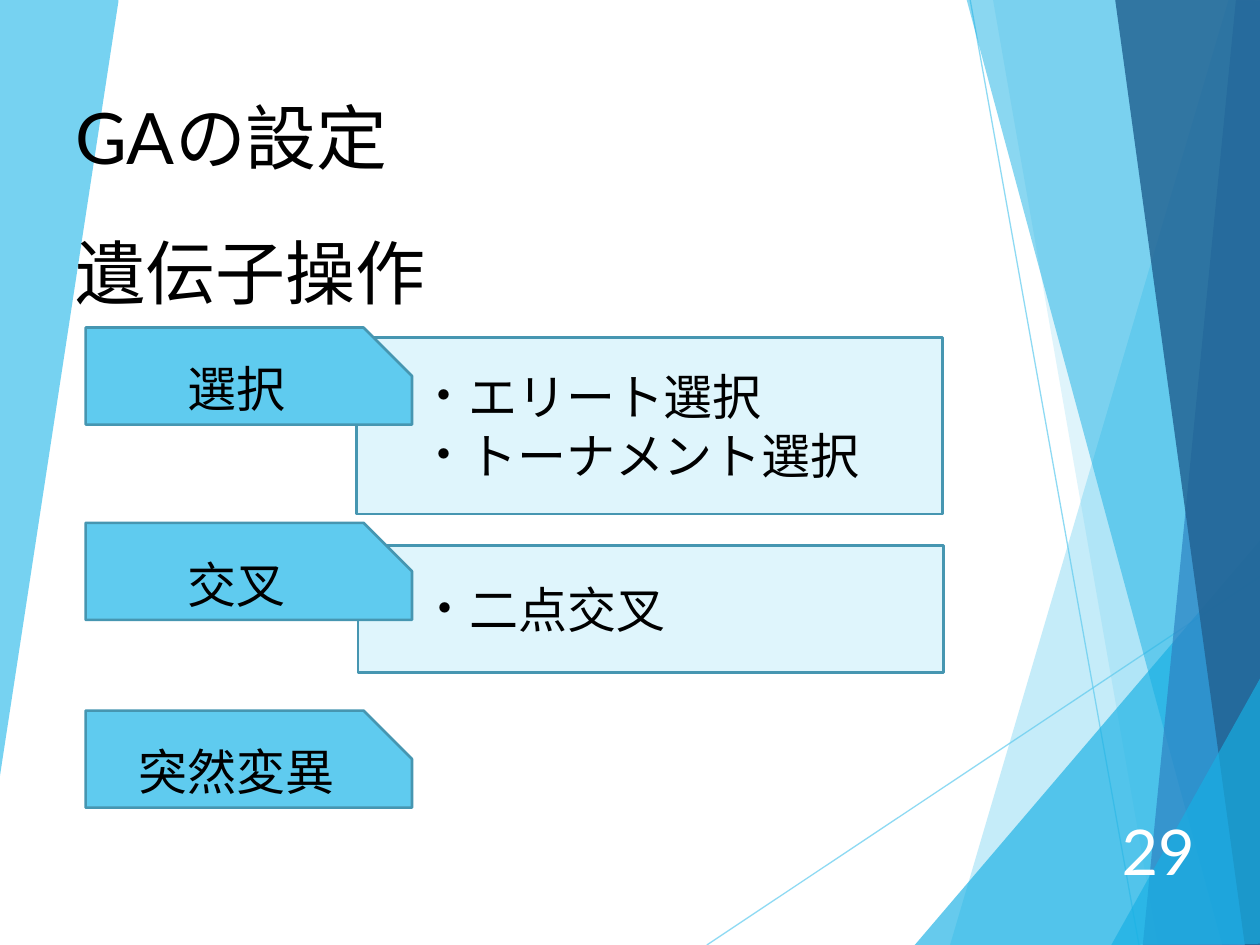
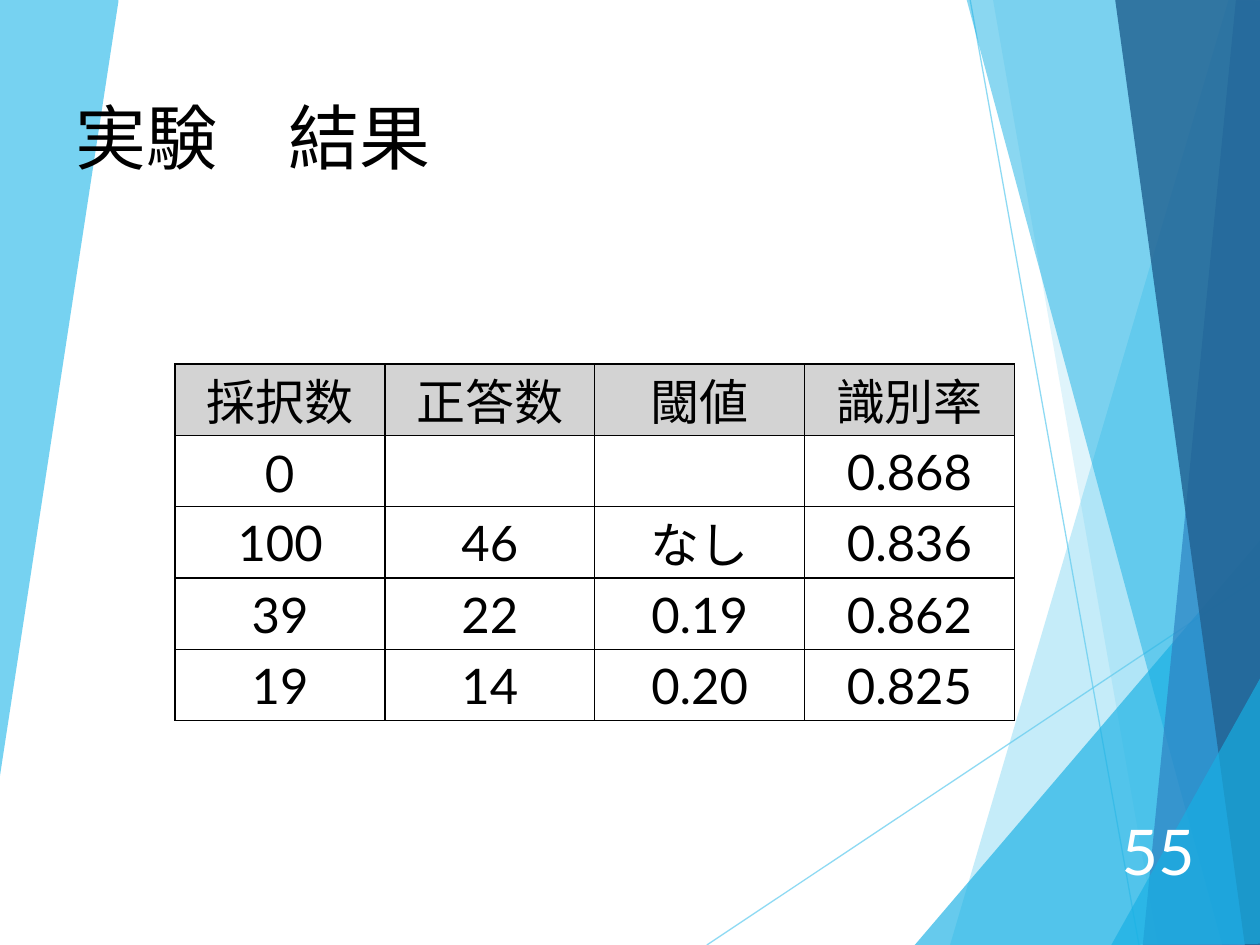
import pptx
import pptx.util
import pptx.dml.color
import pptx.enum.shapes
import pptx.enum.text
import pptx.oxml
import pptx.oxml.ns
from lxml import etree

Inches = pptx.util.Inches
Pt = pptx.util.Pt
RGBColor = pptx.dml.color.RGBColor
KIND = pptx.enum.shapes.MSO_SHAPE
LINK = pptx.enum.shapes.MSO_CONNECTOR
ALIGN = pptx.enum.text.PP_ALIGN
ANCHOR = pptx.enum.text.MSO_ANCHOR
qn = pptx.oxml.ns.qn

# Colours
BLACK = RGBColor(0x00, 0x00, 0x00)
WHITE = RGBColor(0xFF, 0xFF, 0xFF)
SKY = RGBColor(0x5F, 0xCB, 0xEF)
CYAN = RGBColor(0x17, 0xB0, 0xE4)
BLUE = RGBColor(0x2E, 0x83, 0xC3)
NAVY = RGBColor(0x22, 0x62, 0x92)
PALE = RGBColor(0xDF, 0xF5, 0xFC)
EDGE = RGBColor(0x46, 0x96, 0xB1)
GREY = RGBColor(0xD3, 0xD3, 0xD3)

# Shared background: lines, then bands as colour, opacity and corners
RAYS = [(5.61, 7.5, 10.01, 4.57), (7.7, 0, 9.04, 7.5)]
BANDS = [
    (SKY, 36, [(9.75, 0), (7.54, 7.5), (10.02, 7.51), (10.01, 0.01)]),
    (SKY, 20, [(7.88, -0.01), (9.19, 7.5), (10.01, 7.5), (10.01, -0.01)]),
    (CYAN, 66, [(7.26, 7.5), (10, 4.29), (10.01, 7.5)]),
    (CYAN, 50, [(7.67, -0.01), (9.7, 7.5), (10.01, 7.49), (10.01, -0.01)]),
    (BLUE, 70, [(9.81, -0.01), (9.07, 7.5), (10.01, 7.5), (10, -0.01)]),
    (NAVY, 82, [(8.85, -0.01), (9.88, 7.5), (10.02, 7.5), (10, -0.01)]),
    (CYAN, 66, [(8.82, 7.5), (10.02, 5.35), (10.02, 7.49)]),
    (SKY, 85, [(-0.01, 0), (0.94, -0.01), (0.94, 0.01), (-0.01, 6.22)]),
]


def write(frame, text, size=28, color=BLACK, font="Lato", align=ALIGN.LEFT,
          anchor=ANCHOR.TOP, mark=None, pitch=None):
    """Fill a text frame, one paragraph for each line of text."""
    frame.word_wrap = True
    frame.vertical_anchor = anchor
    for i, line in enumerate(text.split("\n")):
        para = frame.paragraphs[0] if i == 0 else frame.add_paragraph()
        para.alignment = align
        if pitch:
            para.line_spacing = Pt(pitch)
        if mark:
            props = para._p.get_or_add_pPr()
            props.set("marL", str(Inches(0.54)))
            props.set("indent", str(Inches(-0.14)))
            etree.SubElement(props, qn("a:buFont"), typeface=font)
            etree.SubElement(props, qn("a:buChar"), char=mark)
        run = para.add_run()
        run.text = line
        run.font.size = Pt(size)
        run.font.name = font
        run.font.color.rgb = color


def fade(part, level):
    """Set the opacity, in percent, of a shape's first colour."""
    tone = next(part.element.iter(qn("a:srgbClr")))
    etree.SubElement(tone, qn("a:alpha"), val=str(level * 1000))


deck = pptx.Presentation()
deck.slide_width = Inches(10)
deck.slide_height = Inches(7.5)

# Background, page number and title of each slide
slides = []
for head, page, width in [("GAの設定", "29", 3.81), ("実験　結果", "55", 7.11)]:
    slide = deck.slides.add_slide(deck.slide_layouts[5])
    shapes = slide.shapes
    for ends in RAYS:
        ray = shapes.add_connector(LINK.STRAIGHT, *map(Inches, ends))
        ray.line.color.rgb = SKY
        ray.line.width = Pt(0.75)
        fade(ray, 70)
        etree.SubElement(ray.element.spPr, qn("a:effectLst"))
    for color, level, dots in BANDS:
        dots = [(Inches(x), Inches(y)) for x, y in dots]
        pen = shapes.build_freeform(*dots[0])
        pen.add_line_segments(dots[1:], close=True)
        band = pen.convert_to_shape()
        band.shadow.inherit = False
        band.fill.solid()
        band.fill.fore_color.rgb = color
        band.line.fill.background()
        fade(band, level)

    foot = shapes.add_textbox(Inches(8.74), Inches(6.48), Inches(0.84), Inches(0.53))
    write(foot.text_frame, page, size=36, color=WHITE, align=ALIGN.RIGHT,
          anchor=ANCHOR.MIDDLE)

    title = shapes.title
    title.left, title.top = Inches(0.5), Inches(0.69)
    title.width, title.height = Inches(width), Inches(0.78)
    title.text_frame.auto_size = pptx.enum.text.MSO_AUTO_SIZE.NONE
    write(title.text_frame, head, size=40.5)
    # Bring the title in front of the bands
    title.element.getparent().append(title.element)
    slides.append(slide)

# Slide 1: genetic operators
shapes = slides[0].shapes
sub = shapes.add_textbox(Inches(0.5), Inches(1.77), Inches(7.71), Inches(0.77))
write(sub.text_frame, "遺伝子操作", size=40)

SNIP, RECT = KIND.SNIP_1_RECTANGLE, KIND.RECTANGLE
boxes = [
    (RECT, 2.84, 4.33, 4.65, 1.01, "二点交叉"),
    (RECT, 2.83, 2.68, 4.65, 1.4, "エリート選択\nトーナメント選択"),
    (SNIP, 0.68, 2.6, 2.59, 0.77, "選択"),
    (SNIP, 0.68, 4.15, 2.59, 0.77, "交叉"),
    (SNIP, 0.68, 5.64, 2.59, 0.77, "突然変異"),
]
for kind, x, y, w, h, text in boxes:
    box = shapes.add_shape(kind, Inches(x), Inches(y), Inches(w), Inches(h))
    box.shadow.inherit = False
    box.fill.solid()
    box.line.color.rgb = EDGE
    box.line.width = Pt(1.5)
    if kind == SNIP:
        box.adjustments[0] = 0.5
        box.fill.fore_color.rgb = SKY
        write(box.text_frame, text, align=ALIGN.CENTER, anchor=ANCHOR.MIDDLE)
    else:
        box.fill.fore_color.rgb = PALE
        write(box.text_frame, text, font="Arial", anchor=ANCHOR.MIDDLE, mark="・")

# Slide 2: table of results
rows = [
    ["採択数", "正答数", "閾値", "識別率"],
    ["０", "", "", "0.868"],
    ["100", "46", "なし", "0.836"],
    ["39", "22", "0.19", "0.862"],
    ["19", "14", "0.20", "0.825"],
]
grid = slides[1].shapes.add_table(
    len(rows), len(rows[0]), Inches(1.39), Inches(2.89), Inches(6.66), Inches(2.83)
).table
grid.first_row = False
grid.horz_banding = False
for r, row in enumerate(rows):
    for c, text in enumerate(row):
        cell = grid.cell(r, c)
        props = cell._tc.get_or_add_tcPr()
        for side in ("lnL", "lnR", "lnT", "lnB"):
            edge = etree.SubElement(props, qn("a:" + side), w=str(Pt(1)))
            fill = etree.SubElement(edge, qn("a:solidFill"))
            etree.SubElement(fill, qn("a:srgbClr"), val=str(BLACK))
        if r == 0:
            cell.fill.solid()
            cell.fill.fore_color.rgb = GREY
        else:
            cell.fill.background()
        # Japanese glyphs sit lower in the row than digits
        cell.margin_top = Inches(0.05 if text.isascii() else 0.09)
        cell.margin_bottom = 0
        if text:
            write(cell.text_frame, text, align=ALIGN.CENTER, pitch=34)

deck.save("out.pptx")
